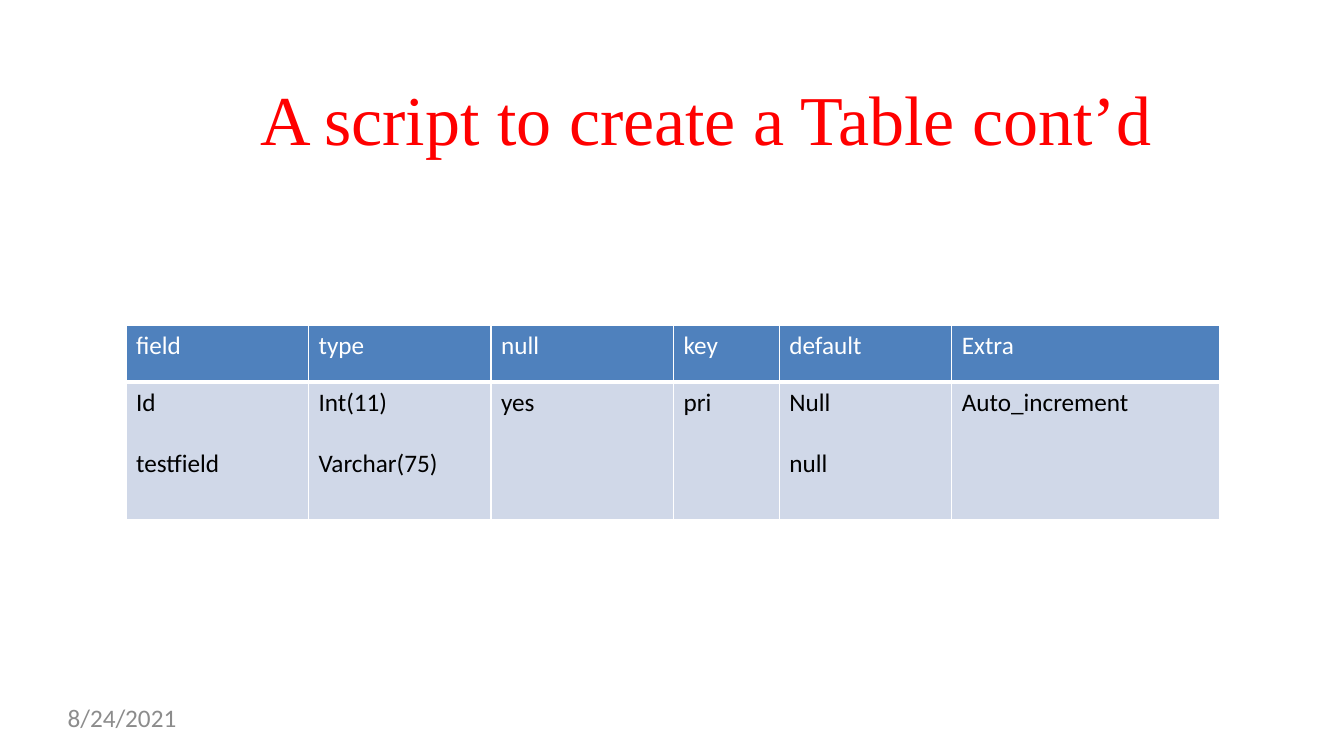
from lxml.etree import SubElement
from pptx import Presentation
from pptx.dml.color import RGBColor
from pptx.enum.text import MSO_ANCHOR
from pptx.oxml.ns import qn
from pptx.util import Inches, Pt

WHITE = "FFFFFF"
TITLE_FORMAT = {"name": "Times New Roman", "size": Pt(50)}
BODY_FORMAT = {"name": "Calibri", "size": Pt(18)}
NO_MARGINS = dict.fromkeys(
    ("margin_left", "margin_top", "margin_right", "margin_bottom"), 0)

COLUMN_WIDTHS = (1.81, 1.81, 1.81, 1.05, 1.71, 2.66)
ROW_HEIGHTS = (0.56, 1.37)
HEADER = ("field", "type", "null", "key", "default", "Extra")
FIELDS = ("Id\ntestfield", "Int(11)\nVarchar(75)", "yes", "pri",
          "Null\nnull", "Auto_increment")


def rgb(color):
    return RGBColor.from_string(color)


def set_attributes(target, values):
    for name, value in values.items():
        setattr(target, name, value)


def write_text(frame, text, font_format, color):
    """Write one paragraph per line, a line's height apart."""
    for index, line in enumerate(text.split("\n")):
        paragraph = frame.add_paragraph() if index else frame.paragraphs[0]
        if index:
            paragraph.space_before = Pt(22)
        run = paragraph.add_run()
        run.text = line
        set_attributes(run.font, font_format)
        run.font.color.rgb = rgb(color)


def add_text(slide, box, text, font_format, color):
    shape = slide.shapes.add_textbox(*map(Inches, box))
    frame = shape.text_frame
    set_attributes(frame, {"word_wrap": True,
                           "vertical_anchor": MSO_ANCHOR.TOP, **NO_MARGINS})
    write_text(frame, text, font_format, color)


def add_borders(cell, bottom_width):
    properties = cell._tc.get_or_add_tcPr()
    widths = {"lnL": 1, "lnR": 1, "lnT": 1, "lnB": bottom_width}
    for side, width in widths.items():
        line = SubElement(properties, qn(f"a:{side}"), w=str(Pt(width)))
        fill = SubElement(line, qn("a:solidFill"))
        SubElement(fill, qn("a:srgbClr"), val=WHITE)


def fill_row(table, row, texts, color, fill, bottom_width):
    for column, text in enumerate(texts):
        cell = table.cell(row, column)
        add_borders(cell, bottom_width)
        cell.fill.solid()
        cell.fill.fore_color.rgb = rgb(fill)
        write_text(cell.text_frame, text, BODY_FORMAT, color)


def add_field_table(slide, left, top):
    size = (sum(COLUMN_WIDTHS), sum(ROW_HEIGHTS))
    table = slide.shapes.add_table(
        len(ROW_HEIGHTS), len(COLUMN_WIDTHS),
        *map(Inches, (left, top, *size))).table
    for column, width in zip(table.columns, COLUMN_WIDTHS):
        column.width = Inches(width)
    for row, height in zip(table.rows, ROW_HEIGHTS):
        row.height = Inches(height)
    fill_row(table, 0, HEADER, WHITE, "4F81BD", 3)
    fill_row(table, 1, FIELDS, "000000", "D0D8E8", 1)


def main():
    presentation = Presentation()
    presentation.slide_width = Inches(13.33)
    presentation.slide_height = Inches(7.5)
    slide = presentation.slides.add_slide(presentation.slide_layouts[6])
    add_text(slide, (2.58, 0.75, 10.33, 2.52),
             "A script to create a Table cont’d", TITLE_FORMAT, "FF0000")
    add_field_table(slide, 1.25, 3.23)
    add_text(slide, (0.67, 6.97, 3.07, 0.3), "8/24/2021", BODY_FORMAT, "8C8C8C")
    presentation.save("out.pptx")


if __name__ == "__main__":
    main()
